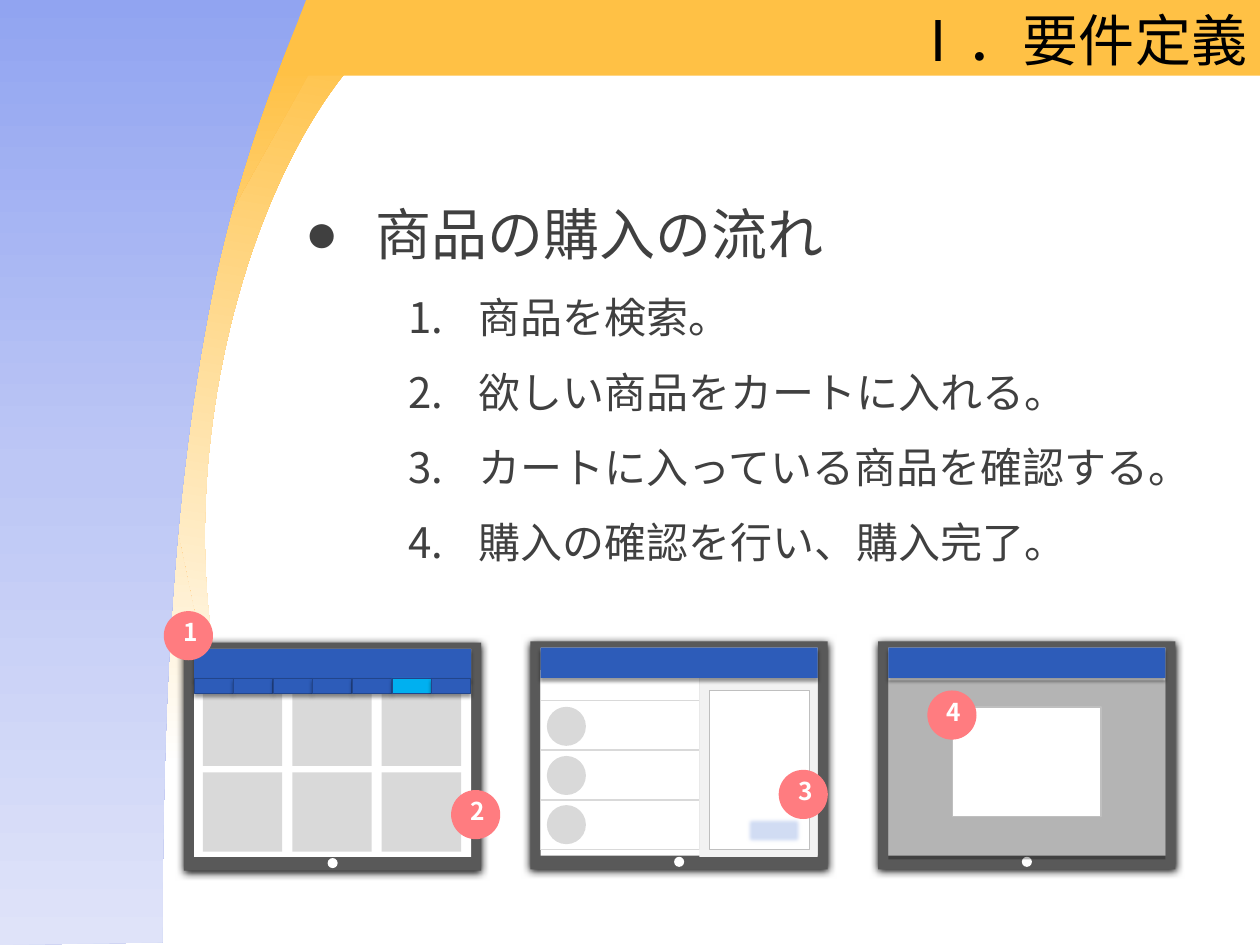
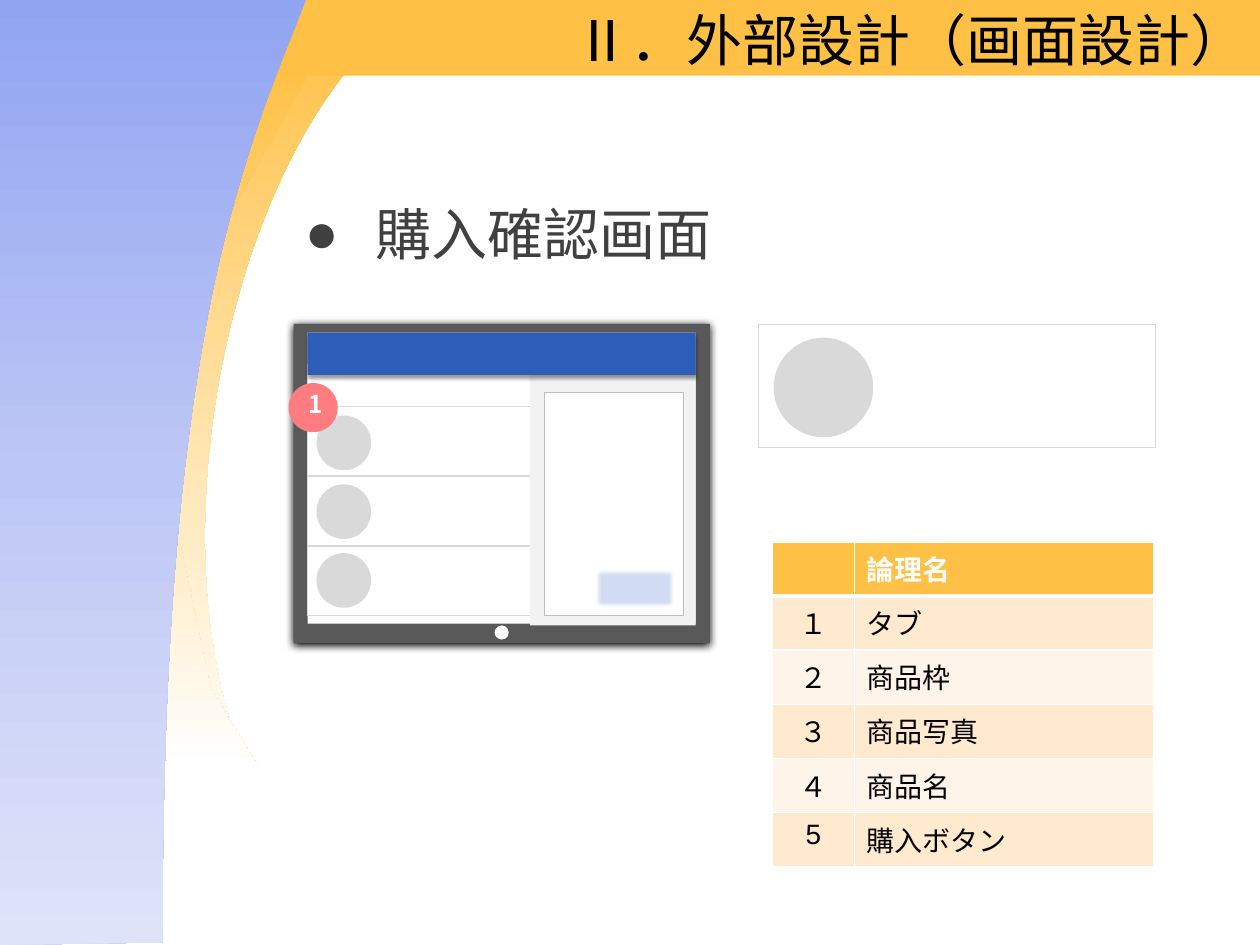
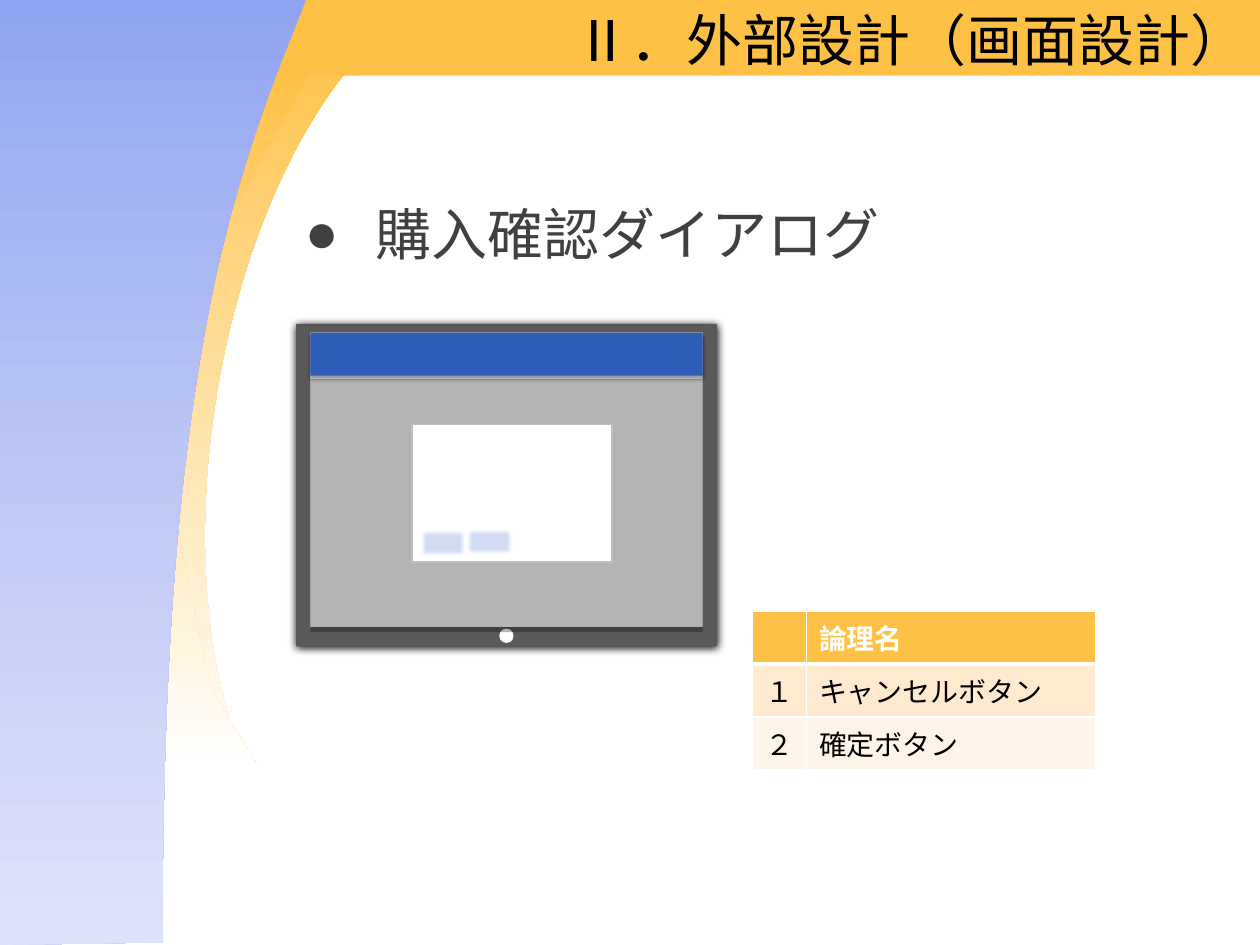
"""Build three slides on a shop's purchase flow and its screen design."""
import dataclasses
import typing

import lxml.etree
import pptx
import pptx.dml.color
import pptx.enum.shapes
import pptx.enum.text
import pptx.oxml.ns
import pptx.util

Inches = pptx.util.Inches
Pt = pptx.util.Pt
qn = pptx.oxml.ns.qn
MSO = pptx.enum.shapes.MSO_SHAPE
ALIGN = pptx.enum.text.PP_ALIGN
ANCHOR = pptx.enum.text.MSO_ANCHOR

GOTHIC = "Noto Sans CJK JP"
LATIN = "Arial"
WHITE, BLACK, TEXT = "FFFFFF", "000000", "404040"
GOLD, BLUE, NAVY, CYAN = "FFC145", "2D5CB9", "22458B", "00B0F0"
BEZEL, GREY, EDGE, PALE = "595959", "D9D9D9", "BFBFBF", "F2F2F2"
BUTTON, BADGE, DIM = "D2DDF4", "FF7C80", "080808"
BANDS = ("FFE9CF", "FFF4E9")
GOLD_FADE = ((0, GOLD), (100, WHITE))
BLUE_FADE = ((0, "91A4F1"), (50, "BDC7F5"), (100, "DFE3F9"))
BADGE_SIZE = 0.39


@dataclasses.dataclass(frozen=True)
class Shadow:
    alpha: int
    blur: float
    distance: float


DEEP = Shadow(100, 5, 1)
LIGHT = Shadow(40, 2, 2)


@dataclasses.dataclass(frozen=True)
class Part:
    left: float
    top: float
    width: float
    height: float
    fill: str
    line: typing.Optional[str] = None
    weight: float = 0.25
    kind: typing.Any = MSO.RECTANGLE
    shadow: typing.Optional[Shadow] = None
    alpha: int = 100
    soft: bool = False


@dataclasses.dataclass(frozen=True)
class Frame:
    left: float = 0
    top: float = 0
    scale: float = 1


@dataclasses.dataclass(frozen=True)
class Badge:
    label: str
    left: float
    top: float


@dataclasses.dataclass(frozen=True)
class Grid:
    left: float
    top: float
    widths: tuple
    row_height: float
    rows: tuple


PAGE = Frame()
TABLET = (
    Part(0, 0, 2.36, 1.81, BEZEL, shadow=DEEP),
    Part(0.08, 0.05, 2.2, 1.65, WHITE),
    Part(1.14, 1.71, 0.08, 0.08, WHITE, kind=MSO.OVAL),
)
HEADER = Part(0.08, 0.05, 2.2, 0.24, BLUE, shadow=LIGHT)
CATALOG = (
    *TABLET,
    *(Part(0.15 + 0.71 * c, 0.35 + 0.68 * r, 0.63, 0.63, GREY)
      for r in range(2) for c in range(3)),
    HEADER,
    *(Part(0.08 + 0.314 * i, 0.28, 0.31, 0.12, CYAN if i == 5 else BLUE, NAVY,
           shadow=LIGHT) for i in range(7)),
)
CART = (
    *TABLET,
    *(Part(0.08, 0.47 + 0.395 * i, 1.26, 0.39, WHITE, GREY) for i in range(3)),
    Part(0.08, 0.23, 1.26, 0.24, WHITE, GREY),
    Part(1.34, 0.29, 0.94, 1.42, PALE),
    HEADER,
    *(Part(0.13, 0.52 + 0.39 * i, 0.31, 0.31, GREY, kind=MSO.OVAL) for i in range(3)),
    Part(1.42, 0.39, 0.79, 1.26, WHITE, EDGE),
    Part(1.7, 1.38, 0.47, 0.24, BUTTON, soft=True),
)
DIMMED = (*TABLET, HEADER, Part(0.08, 0.31, 2.2, 1.42, DIM, alpha=30))


def rgb(value: str) -> pptx.dml.color.RGBColor:
    """Turn a hex string into a colour."""
    return pptx.dml.color.RGBColor.from_string(value)


def add_xml(parent, tag: str, **attrs):
    """Append a DrawingML element to the parent."""
    return lxml.etree.SubElement(parent, qn(tag), {k: str(v) for k, v in attrs.items()})


def add_run(p, text: str, size: float, color: str, font: str = GOTHIC,
            bold: bool = False) -> None:
    """Add a formatted run to a paragraph."""
    r = p.add_run()
    r.text = text
    r.font.name = font
    r.font.size = Pt(size)
    r.font.bold = bold
    r.font.color.rgb = rgb(color)
    add_xml(r._r.get_or_add_rPr(), "a:ea", typeface=GOTHIC)


def add_effect(sp, part: Part) -> None:
    """Give a shape its shadow or soft edge."""
    effects = sp._element.spPr.find(qn("a:effectLst"))
    if part.shadow:
        shadow = add_xml(effects, "a:outerShdw", blurRad=Pt(part.shadow.blur),
                         dist=Pt(part.shadow.distance), dir=5400000,
                         algn="ctr", rotWithShape=0)
        color = add_xml(shadow, "a:srgbClr", val=BLACK)
        add_xml(color, "a:alpha", val=part.shadow.alpha * 1000)
    if part.soft:
        add_xml(effects, "a:softEdge", rad=Pt(2.5))


def add_part(shapes, part: Part, frame: Frame = PAGE):
    """Draw one part, placed and scaled by its frame."""
    s = frame.scale
    sp = shapes.add_shape(
        part.kind, Inches(frame.left + part.left * s), Inches(frame.top + part.top * s),
        Inches(part.width * s), Inches(part.height * s))
    sp.fill.solid()
    sp.fill.fore_color.rgb = rgb(part.fill)
    if part.alpha < 100:
        color = sp._element.spPr.find(".//" + qn("a:srgbClr"))
        add_xml(color, "a:alpha", val=part.alpha * 1000)
    if part.line:
        sp.line.color.rgb = rgb(part.line)
        sp.line.width = Pt(part.weight)
    else:
        sp.line.fill.background()
    sp.shadow.inherit = False
    add_effect(sp, part)
    return sp


def add_mockup(slide, parts: typing.Iterable[Part], frame: Frame = PAGE) -> None:
    """Draw a group of parts that make up one mockup."""
    group = slide.shapes.add_group_shape()
    for part in parts:
        add_part(group.shapes, part, frame)


def add_badge(slide, badge: Badge) -> None:
    """Draw a numbered round badge."""
    sp = add_part(slide.shapes, Part(badge.left, badge.top, BADGE_SIZE, BADGE_SIZE,
                                     BADGE, kind=MSO.OVAL))
    tf = sp.text_frame
    tf.vertical_anchor = ANCHOR.BOTTOM
    p = tf.paragraphs[0]
    p.alignment = ALIGN.CENTER
    add_run(p, badge.label, 14, WHITE, bold=True)


def fade(sp, stops: tuple) -> None:
    """Fill a shape with a vertical gradient and no outline."""
    sp.fill.gradient()
    sp.fill.gradient_angle = 270
    stop_list = sp._element.spPr.find(".//" + qn("a:gsLst"))
    for stop in list(stop_list):
        stop_list.remove(stop)
    for position, color in stops:
        add_xml(add_xml(stop_list, "a:gs", pos=position * 1000), "a:srgbClr", val=color)
    sp.line.fill.background()
    sp.shadow.inherit = False


def curve(points: tuple, steps: int = 24) -> list:
    """Return points along a cubic curve, without its start."""
    weights = [((1 - t) ** 3, 3 * t * (1 - t) ** 2, 3 * t * t * (1 - t), t ** 3)
               for t in (i / steps for i in range(1, steps + 1))]
    return [tuple(sum(w * pt[axis] for w, pt in zip(ws, points)) for axis in (0, 1))
            for ws in weights]


def add_outline(shapes, points: list):
    """Draw a closed outline through points in inches."""
    corners = [(Inches(x), Inches(y)) for x, y in points]
    builder = shapes.build_freeform(*corners[0])
    builder.add_line_segments(corners[1:], close=True)
    return builder.convert_to_shape()


def decorate(layout, slide) -> None:
    """Draw the shared bands and move them behind the layout's placeholders."""
    shapes = slide.shapes
    moon = shapes.add_shape(MSO.MOON, Inches(1.03), Inches(0.29), Inches(1.38), Inches(5.67))
    moon.rotation = 9.3
    fade(moon, GOLD_FADE)
    wedge = add_outline(shapes, [(2.05, 6.08), (0, 6.08), (0, 0.5), (2.5, 0.5),
                                 (1.52, 2.24), (1.36, 3.98), (1.67, 5.46)])
    fade(wedge, GOLD_FADE)
    band = add_part(shapes, Part(0, -0.01, 10, 0.61, GOLD))
    start, middle, end = (2.44, -0.03), (1.68, 2.35), (1.29, 7.48)
    side = add_outline(shapes, [
        start,
        *curve((start, (2.31, 0.33), (1.94, 1.09), middle)),
        *curve((middle, (1.43, 3.61), (1.29, 5.1), end)),
        (0, 7.5), (0, -0.03)])
    fade(side, BLUE_FADE)
    for i, sp in enumerate((moon, wedge, band, side)):
        sp._element.nvSpPr.cNvPr.set("id", str(100 + i))
        layout.shapes.element.insert(2 + i, sp._element)


def place(sp, left: float, top: float, width: float, height: float, anchor):
    """Move a placeholder and return its text frame."""
    sp.left, sp.top = Inches(left), Inches(top)
    sp.width, sp.height = Inches(width), Inches(height)
    tf = sp.text_frame
    tf.word_wrap = True
    tf.auto_size = pptx.enum.text.MSO_AUTO_SIZE.NONE
    tf.vertical_anchor = anchor
    return tf


def format_item(p, text: str, size: float, spacing: float, margin: float):
    """Fill a list paragraph and return its properties element."""
    p.line_spacing = Pt(spacing)
    p.space_before = Pt(0)
    add_run(p, text, size, TEXT)
    pPr = p._p.get_or_add_pPr()
    pPr.set("marL", str(Inches(margin)))
    pPr.set("indent", str(Inches(-0.56)))
    return pPr


def add_slide(prs, title: str, heading: str, height: float, steps: tuple = ()):
    """Add a slide with its title, bulleted heading and numbered steps."""
    slide = prs.slides.add_slide(prs.slide_layouts[1])
    p = place(slide.shapes.title, 2.48, 0, 7.52, 0.62, ANCHOR.MIDDLE).paragraphs[0]
    p.alignment = ALIGN.RIGHT
    add_run(p, title, 32, BLACK)
    tf = place(slide.placeholders[1], 2.32, 1.23, 7.4, height, ANCHOR.TOP)
    pPr = format_item(tf.paragraphs[0], heading, 32, 60, 0.56)
    add_xml(pPr, "a:buFont", typeface=LATIN)
    add_xml(pPr, "a:buChar", char="●")
    for step in steps:
        p = tf.add_paragraph()
        p.level = 1
        pPr = format_item(p, step, 24, 43, 1.38)
        add_xml(pPr, "a:buFont", typeface=GOTHIC)
        add_xml(pPr, "a:buAutoNum", type="arabicPeriod")
    return slide


def set_borders(cell, row: int) -> None:
    """Draw white cell borders, thicker under the header."""
    tcPr = cell._tc.get_or_add_tcPr()
    heavy = {0: "a:lnB", 1: "a:lnT"}.get(row)
    for i, tag in enumerate(("a:lnL", "a:lnR", "a:lnT", "a:lnB")):
        ln = add_xml(tcPr, tag, w=Pt(3 if tag == heavy else 1))
        add_xml(add_xml(ln, "a:solidFill"), "a:srgbClr", val=WHITE)
        tcPr.insert(i, ln)


def add_grid(slide, grid: Grid) -> None:
    """Add a table of numbered logical names."""
    rows = (("", "論理名"), *grid.rows)
    table = slide.shapes.add_table(
        len(rows), len(grid.widths), Inches(grid.left), Inches(grid.top),
        Inches(sum(grid.widths)), Inches(grid.row_height * len(rows))).table
    table.first_row = table.horz_banding = False
    for column, width in zip(table.columns, grid.widths):
        column.width = Inches(width)
    for r, texts in enumerate(rows):
        for c, text in enumerate(texts):
            cell = table.cell(r, c)
            cell.fill.solid()
            cell.fill.fore_color.rgb = rgb(BANDS[(r - 1) % 2] if r else GOLD)
            set_borders(cell, r)
            p = cell.text_frame.paragraphs[0]
            p.alignment = ALIGN.LEFT if c else ALIGN.CENTER
            if text:
                add_run(p, text, 16, BLACK if r else WHITE, LATIN, bold=r == 0)


def build_flow(prs) -> None:
    """Build the slide with the purchase steps."""
    slide = add_slide(prs, "Ⅰ．要件定義", "商品の購入の流れ", 3.46, (
        "商品を検索。", "欲しい商品をカートに入れる。",
        "カートに入っている商品を確認する。", "購入の確認を行い、購入完了。"))
    decorate(slide.slide_layout, slide)
    dialog = Part(0.59, 0.52, 1.18, 0.87, WHITE, EDGE, 1)
    add_mockup(slide, CATALOG, Frame(1.46, 5.1))
    add_mockup(slide, CART, Frame(4.21, 5.09))
    add_mockup(slide, (*DIMMED, dialog), Frame(6.97, 5.09))
    for badge in (Badge("1", 1.3, 4.85), Badge("3", 6.18, 6.11),
                  Badge("4", 7.36, 5.48), Badge("2", 3.58, 6.27)):
        add_badge(slide, badge)


def build_cart(prs) -> None:
    """Build the slide with the purchase confirmation screen."""
    slide = add_slide(prs, "Ⅱ．外部設計（画面設計）", "購入確認画面", 0.87)
    add_mockup(slide, CART, Frame(2.33, 2.57, 1.4))
    add_grid(slide, Grid(6.13, 4.3, (0.65, 2.38), 0.43, (
        ("１", "タブ"), ("２", "商品枠"), ("３", "商品写真"),
        ("４", "商品名"), ("5", "購入ボタン"))))
    add_badge(slide, Badge("1", 2.29, 3.04))
    add_mockup(slide, (Part(6.02, 2.57, 3.15, 0.98, WHITE, GREY),
                       Part(6.14, 2.68, 0.79, 0.79, GREY, kind=MSO.OVAL)))


def build_dialog(prs) -> None:
    """Build the slide with the purchase confirmation dialog."""
    slide = add_slide(prs, "Ⅱ．外部設計（画面設計）", "購入確認ダイアログ", 0.94)
    add_mockup(slide, DIMMED, Frame(2.35, 2.57, 1.415))
    add_mockup(slide, (Part(3.27, 3.37, 1.59, 1.09, WHITE, EDGE, 1),
                       Part(3.32, 4.19, 0.39, 0.24, BUTTON, soft=True),
                       Part(3.69, 4.18, 0.39, 0.24, BUTTON, soft=True)))
    add_grid(slide, Grid(5.97, 4.85, (0.43, 2.3), 0.37, (
        ("１", "キャンセルボタン"), ("２", "確定ボタン"))))


def main() -> None:
    """Build and save the presentation."""
    prs = pptx.Presentation()
    prs.slide_width, prs.slide_height = Inches(10), Inches(7.5)
    build_flow(prs)
    build_cart(prs)
    build_dialog(prs)
    prs.save("out.pptx")


if __name__ == "__main__":
    main()
